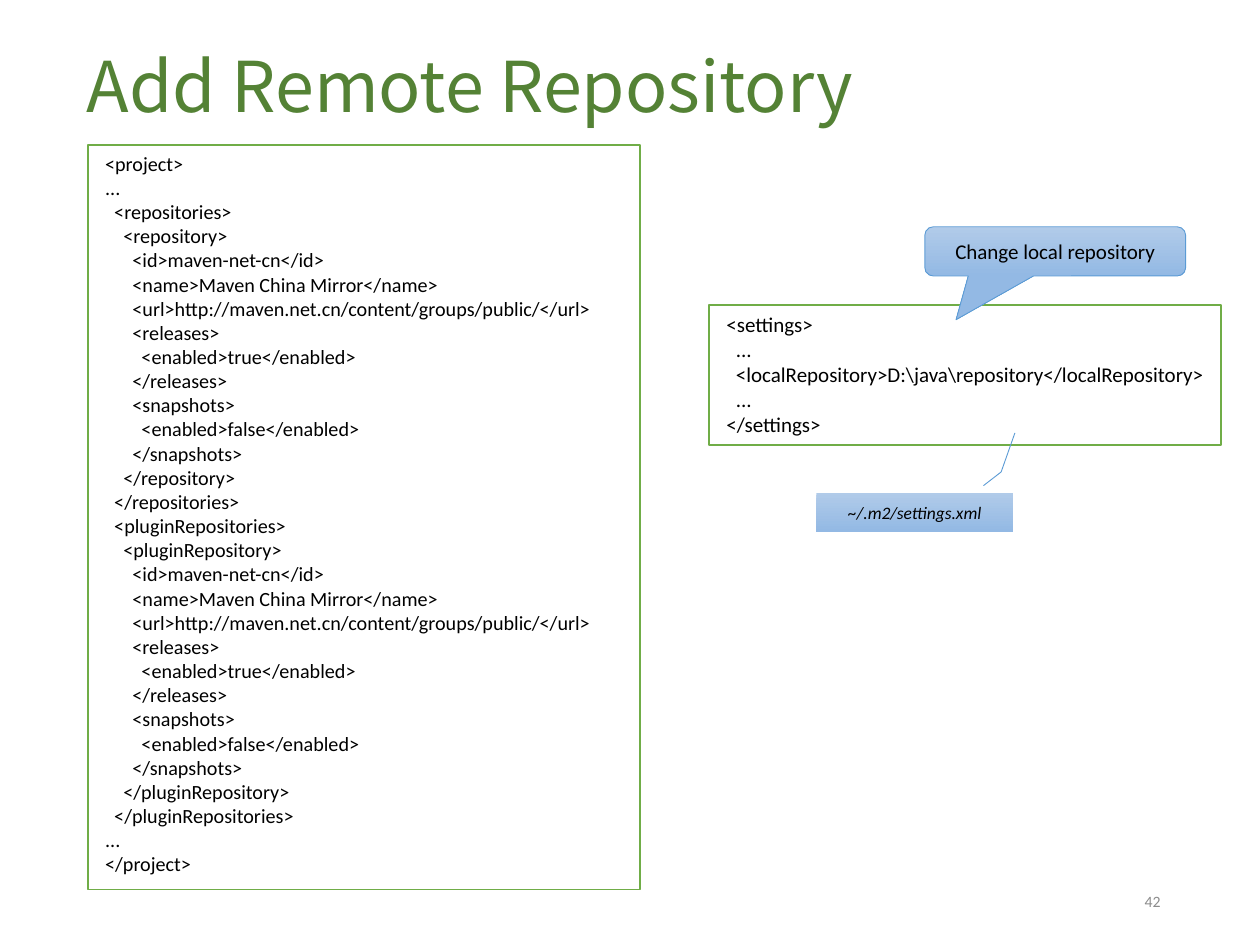
"""Build the slide about adding a remote Maven repository."""
from pptx import Presentation
from pptx.dml.color import RGBColor
from pptx.enum.shapes import MSO_SHAPE
from pptx.enum.text import MSO_ANCHOR, PP_ALIGN
from pptx.util import Inches, Pt

RECTANGLE = MSO_SHAPE.RECTANGLE
SPEECH_CALLOUT = MSO_SHAPE.ROUNDED_RECTANGULAR_CALLOUT
LINE_CALLOUT = MSO_SHAPE.LINE_CALLOUT_2_NO_BORDER
TOP, MIDDLE = MSO_ANCHOR.TOP, MSO_ANCHOR.MIDDLE
LEFT, CENTER, RIGHT = PP_ALIGN.LEFT, PP_ALIGN.CENTER, PP_ALIGN.RIGHT

THEME = {
    "title_font": "Noto Sans CJK JP", "body_font": "Calibri",
    "title": "548235", "text": "000000", "number": "8C8C8C",
    "box_fill": "FFFFFF", "box_line": "70AD47",
    "callout_top": "B1CBE9", "callout_bottom": "93B9E4", "callout_line": "5B9BD5",
    "title_size": 40, "project_size": 11.5, "settings_size": 12,
    "callout_size": 12, "file_size": 10, "number_size": 9,
}

TITLE = "Add Remote Repository"
SLIDE_NUMBER = "42"
REPOSITORY_KINDS = [("repositories", "repository"), ("pluginRepositories", "pluginRepository")]
REPOSITORY_LINES = [
    "   <{group}>",
    "     <{item}>",
    "       <id>maven-net-cn</id>",
    "       <name>Maven China Mirror</name>",
    "       <url>http://maven.net.cn/content/groups/public/</url>",
    "       <releases>",
    "         <enabled>true</enabled>",
    "       </releases>",
    "       <snapshots>",
    "         <enabled>false</enabled>",
    "       </snapshots>",
    "     </{item}>",
    "   </{group}>",
]
PROJECT_CODE = [
    " <project>",
    " ...",
    *(line.format(group=group, item=item)
      for group, item in REPOSITORY_KINDS for line in REPOSITORY_LINES),
    " ...",
    " </project>",
]
SETTINGS_CODE = [
    " <settings>",
    "   ...",
    "   <localRepository>D:\\java\\repository</localRepository>",
    "   ...",
    " </settings>",
]
CODE_BOXES = [
    (PROJECT_CODE, (0.7, 1.15, 4.38, 5.91), "project_size"),
    (SETTINGS_CODE, (5.63, 2.42, 4.06, 1.11), "settings_size"),
]
CALLOUTS = [
    ("Change local repository", SPEECH_CALLOUT, (7.34, 1.8, 2.07, 0.39),
     (-0.38, 1.39, 0.17), "callout_size", False),
    ("~/.m2/settings.xml", LINE_CALLOUT, (6.48, 3.91, 1.56, 0.31),
     (-0.18, 0.85, -0.53, 0.94, -1.53, 1.01), "file_size", True),
]


def color(name):
    return RGBColor.from_string(THEME[name])


def write(shape, text, size, color_name="text", font="body_font",
          align=LEFT, anchor=TOP, italic=False):
    frame = shape.text_frame
    frame.text = text
    frame.word_wrap = True
    frame.vertical_anchor = anchor
    for paragraph in frame.paragraphs:
        paragraph.alignment = align
        for run in paragraph.runs:
            run.font.name = THEME[font]
            run.font.size = Pt(THEME[size])
            run.font.color.rgb = color(color_name)
            run.font.italic = italic


def add_box(slide, kind, place, line_color, line_width):
    shape = slide.shapes.add_shape(kind, *map(Inches, place))
    shape.shadow.inherit = False
    shape.line.color.rgb = color(line_color)
    shape.line.width = Pt(line_width)
    return shape


def add_code(slide, lines, place, size):
    shape = add_box(slide, RECTANGLE, place, "box_line", 1)
    shape.fill.solid()
    shape.fill.fore_color.rgb = color("box_fill")
    write(shape, "\n".join(lines), size)


def add_callout(slide, text, kind, place, adjustments, size, italic):
    shape = add_box(slide, kind, place, "callout_line", 0.5)
    for index, value in enumerate(adjustments):
        shape.adjustments[index] = value
    shape.fill.gradient()
    shape.fill.gradient_angle = 270
    for stop, name in zip(shape.fill.gradient_stops, ("callout_top", "callout_bottom")):
        stop.color.rgb = color(name)
    write(shape, text, size, align=CENTER, anchor=MIDDLE, italic=italic)


def main():
    presentation = Presentation()
    presentation.slide_width, presentation.slide_height = Inches(10), Inches(7.5)
    slide = presentation.slides.add_slide(presentation.slide_layouts[5])

    title = slide.shapes.title
    title.left, title.top, title.width, title.height = map(Inches, (0.59, 0.36, 6.38, 0.77))
    write(title, TITLE, "title_size", "title", "title_font")
    title.text_frame.paragraphs[0].line_spacing = 0.9

    for code_box in CODE_BOXES:
        add_code(slide, *code_box)
    for callout in CALLOUTS:
        add_callout(slide, *callout)

    number = slide.shapes.add_textbox(*map(Inches, (7.06, 6.95, 2.25, 0.4)))
    write(number, SLIDE_NUMBER, "number_size", "number", align=RIGHT, anchor=MIDDLE)
    presentation.save("out.pptx")


if __name__ == "__main__":
    main()
